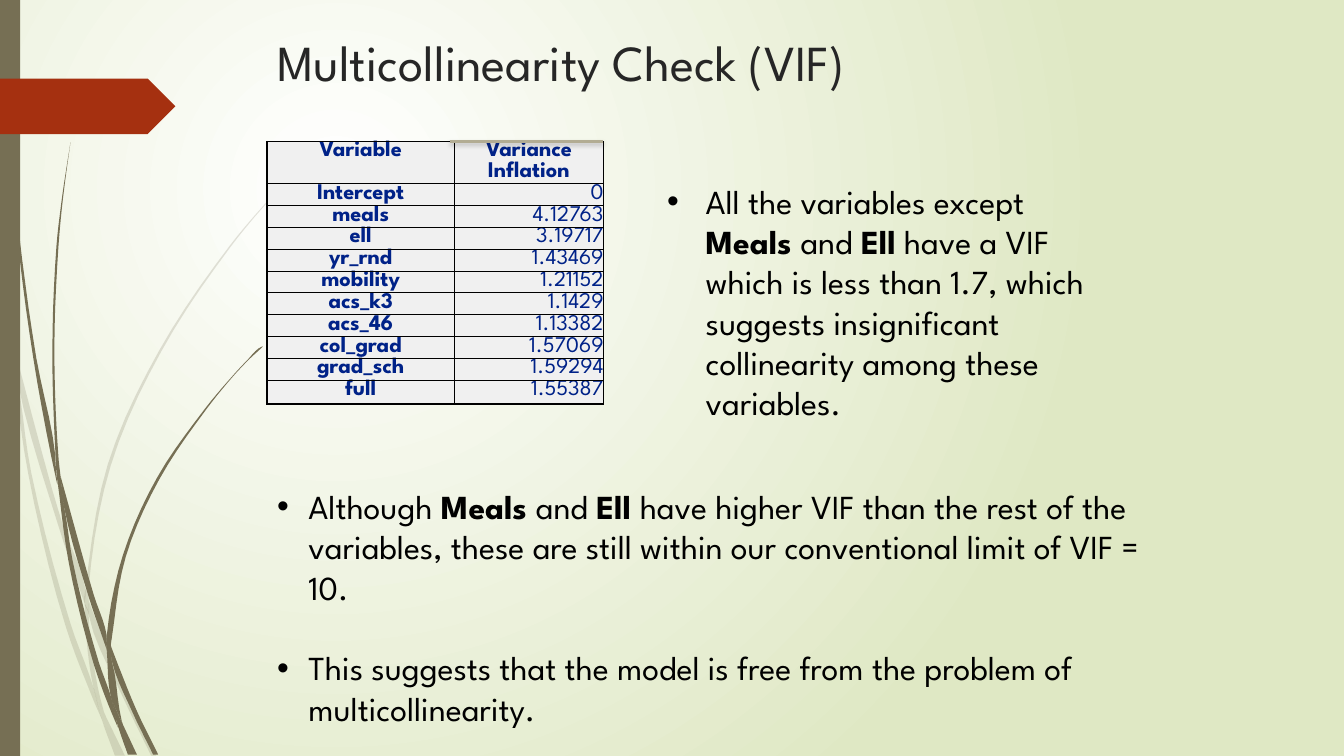
from dataclasses import dataclass
from math import hypot

from lxml.etree import SubElement as Sub
from pptx import Presentation
from pptx.dml.color import RGBColor as RGB
from pptx.enum.shapes import MSO_CONNECTOR as LINK, MSO_SHAPE as SHAPE
from pptx.enum.text import MSO_ANCHOR as ANCHOR, MSO_AUTO_SIZE as FIT, PP_ALIGN as ALIGN
from pptx.oxml.ns import qn
from pptx.util import Cm, Pt


@dataclass(frozen=True)
class Theme:
    font: str = "League Spartan"
    olive: str = "766F54"
    rust: str = "A53010"
    white: str = "FFFFFF"
    green: str = "DFE8C4"
    title: str = "262626"
    black: str = "000000"
    navy: str = "002288"
    cell: str = "F0F0F0"
    rule: str = "B2AC93"
    head: int = 36
    body: int = 24
    small: int = 16


T = Theme()
NAMES = "Variable||Intercept|meals|ell|yr_rnd|mobility|acs_k3|acs_46|col_grad|grad_sch|full"
SCORES = ("Variance|Inflation|0|4.12763|3.19717|1.43469|1.21152|1.1429|1.13382|1.57069|"
          "1.59294|1.55387")
# Grass outlines: x y pairs in hundredths of an inch
PALE = [
    "11 350 9 322 0 282 0 299 10 344",
    "58 522 84 599 85 586 62 520 14 345 17 376",
    "92 607 88 596 88 610 123 694 150 750 155 750 127 692",
    "93 683 70 619 31 469 17 376 11 350 28 470 65 621 92 693 101 714 99 707",
    "84 599 87 646 93 683 96 692 105 711 103 706 91 646 88 610 88 608",
    "88 584 110 462 160 349 229 245 268 198 290 175 312 154 312 153 289 175 268 197 "
    "228 244 158 348 107 461 85 584 84 599 88 608 88 596",
    "96 692 93 683 99 707 101 714 114 750 124 750 105 711",
]
DARK = [
    "7 110 17 233 33 355 56 477 57 481 55 457 55 453 36 355 19 232 8 109 5 48 4 0 3 0 4 48",
    "88 592 106 645 106 633 106 631 93 590 60 472 64 505",
    "113 649 110 641 111 656 132 708 152 749 157 749 136 706",
    "110 691 98 657 72 556 64 505 57 477 68 557 93 659 111 708 117 722 116 717",
    "60 472 58 453 54 349 58 245 63 193 70 141 62 193 56 245 52 349 55 449 57 477 64 505",
    "111 633 125 552 158 476 205 406 231 374 245 359 261 344 260 344 245 358 231 373 "
    "204 405 156 474 122 551 106 631 106 645 111 656 110 641",
    "106 645 110 691 116 706 122 719 121 716 111 656 109 651",
    "116 706 110 691 116 717 127 749 136 749 122 719",
]


def rgb(code):
    return RGB.from_string(code)


def paint(shape, code, alpha=None):
    shape.shadow.inherit = False
    shape.line.fill.background()
    shape.fill.solid()
    shape.fill.fore_color.rgb = rgb(code)
    if alpha:
        tone = shape.fill._xPr.find(".//" + qn("a:srgbClr"))
        Sub(tone, qn("a:alpha"), val=str(alpha * 1000))


def style(par, size, code, bold=None):
    font = par.font
    font.name, font.size, font.bold = T.font, Pt(size), bold
    font.color.rgb = rgb(code)


def wash(slide):
    """Fill the background with a round gradient."""
    fill = slide.background.fill
    fill.gradient()
    for stop, code in zip(fill.gradient_stops, (T.white, T.green)):
        stop.color.rgb = rgb(code)
    grad = slide.background._cSld.find(".//" + qn("a:gradFill"))
    grad.remove(grad.find(qn("a:lin")))
    way = Sub(grad, qn("a:path"), path="circle")
    Sub(way, qn("a:fillToRect"), l="50000", t="50000", r="100000", b="100000")


def smooth(dots):
    """Round the gentle bends of a closed outline and keep its sharp tips."""
    legs = [b - a for a, b in zip(dots, dots[1:] + dots[:1])]
    units = [leg / abs(leg) for leg in legs]
    for i, (dot, leg) in enumerate(zip(dots, legs)):
        pulls = []
        for near in (units[i - 1], units[(i + 1) % len(dots)]):
            mean = near + units[i]
            soft = (near * units[i].conjugate()).real > 0.7
            pulls.append(leg if not soft else mean / hypot(mean.real, mean.imag) * abs(leg))
        for t in (0, 0.2, 0.4, 0.6, 0.8):
            u = 1 - t
            spot = dot + leg * t * t * (3 - 2 * t) + t * u * (u * pulls[0] - t * pulls[1])
            yield 10 * spot.real, 10 * spot.imag


def blade(shapes, text, alpha=None):
    nums = [int(n) for n in text.split()]
    first, *rest = smooth([complex(x, y) for x, y in zip(nums[::2], nums[1::2])])
    form = shapes.build_freeform(*first, scale=Cm(0.00254))
    form.add_line_segments(rest)
    paint(form.convert_to_shape(), T.olive, alpha)


def place(holder, box):
    holder.left, holder.top, holder.width, holder.height = map(Cm, box)
    frame = holder.text_frame
    frame.word_wrap, frame.auto_size = True, FIT.NONE
    frame.vertical_anchor = ANCHOR.TOP
    return frame


def bullets(holder, items, box, indent):
    """Fill a list; words between asterisks are bold."""
    frame = place(holder, box)
    for i, item in enumerate(items):
        par = frame.add_paragraph() if i else frame.paragraphs[0]
        par.space_before = Pt(28.8 if i else 0)
        props = par._p.get_or_add_pPr()
        props.set("marL", str(Cm(indent)))
        props.set("indent", str(-Cm(indent)))
        for j, part in enumerate(item.split("*")):
            run = par.add_run()
            run.text = part
            if j % 2:
                run.font.bold = True
        style(par, T.body, T.black)


def edge(cell, side, width):
    """Draw one cell border; width 0 hides it."""
    line = Sub(cell._tc.get_or_add_tcPr(), qn("a:ln" + side), w=str(Pt(width)))
    fill = Sub(line, qn("a:solidFill" if width else "a:noFill"))
    if width:
        Sub(fill, qn("a:srgbClr"), val=T.black)


def grid(shapes, rows, left, top, widths, heights):
    size = map(Cm, (left, top, sum(widths), sum(heights)))
    table = shapes.add_table(len(rows), len(widths), *size).table
    table.first_row = table.horz_banding = False
    for col, width in zip(table.columns, widths):
        col.width = Cm(width)
    for r, row in enumerate(rows):
        table.rows[r].height = Cm(heights[r])
        for c, text in enumerate(row):
            cell = table.cell(r, c)
            cell.margin_left = cell.margin_right = cell.margin_top = cell.margin_bottom = 0
            edge(cell, "L", 0.5 if c else 1)
            edge(cell, "R", 1 if c else 0.5)
            edge(cell, "T", 0 if c and r < 2 else 0.5)
            edge(cell, "B", 0 if c and r == 0 else 1 if r == len(rows) - 1 else 0.5)
            cell.fill.solid()
            cell.fill.fore_color.rgb = rgb(T.cell)
            cell.text = text
            par = cell.text_frame.paragraphs[0]
            value = c == 1 and r > 1
            par.alignment = ALIGN.RIGHT if value else ALIGN.CENTER
            style(par, T.small, T.navy, not value)
    table.cell(0, 0).merge(table.cell(1, 0))


def rule(shapes, *ends):
    """Draw a line with a soft shadow below it."""
    line = shapes.add_connector(LINK.STRAIGHT, *map(Cm, ends))
    line.line.color.rgb, line.line.width = rgb(T.rule), Pt(1.75)
    glow = Sub(line._element.spPr, qn("a:effectLst"))
    cast = Sub(glow, qn("a:outerShdw"), blurRad=str(Pt(3)), dist=str(Pt(2)), dir="5400000")
    Sub(Sub(cast, qn("a:srgbClr"), val=T.black), qn("a:alpha"), val="25000")


def main():
    deck = Presentation()
    deck.slide_width, deck.slide_height = Cm(33.87), Cm(19.05)
    slide = deck.slides.add_slide(deck.slide_layouts[3])
    shapes = slide.shapes
    title, side, below = slide.placeholders
    wash(slide)
    for blades, alpha in ((PALE, 20), (DARK, None)):
        for text in blades:
            blade(shapes, text, alpha)
    paint(shapes.add_shape(SHAPE.RECTANGLE, 0, 0, Cm(0.51), Cm(19.05)), T.olive)
    paint(shapes.add_shape(SHAPE.PENTAGON, 0, Cm(1.98), Cm(4.42), Cm(1.4)), T.rust)
    head = place(title, (6.73, 0.66, 24.77, 1.78)).paragraphs[0]
    head.text, head.alignment = "Multicollinearity Check (VIF)", ALIGN.LEFT
    style(head, T.head, T.title)
    rows = list(zip(NAMES.split("|"), SCORES.split("|")))
    grid(shapes, rows, 6.73, 3.56, (4.72, 3.76), [0.46] + [0.55] * 10 + [0.6])
    rule(shapes, 11.33, 3.56, 15.19, 3.56)
    bullets(side, ["All the variables except *Meals *and *Ell* have a VIF which is less than 1.7, "
                   "which suggests insignificant collinearity among these variables."],
            (16.56, 4.42, 11.3, 6.4), 0.97)
    bullets(below, ["Although *Meals *and *Ell *have higher VIF than the rest of the variables, "
                    "these are still within our conventional limit of VIF = 10.",
                    "This suggests that the model is free from the problem of multicollinearity."],
            (6.73, 12.12, 22.35, 6.86), 0.79)
    deck.save("out.pptx")


if __name__ == "__main__":
    main()
